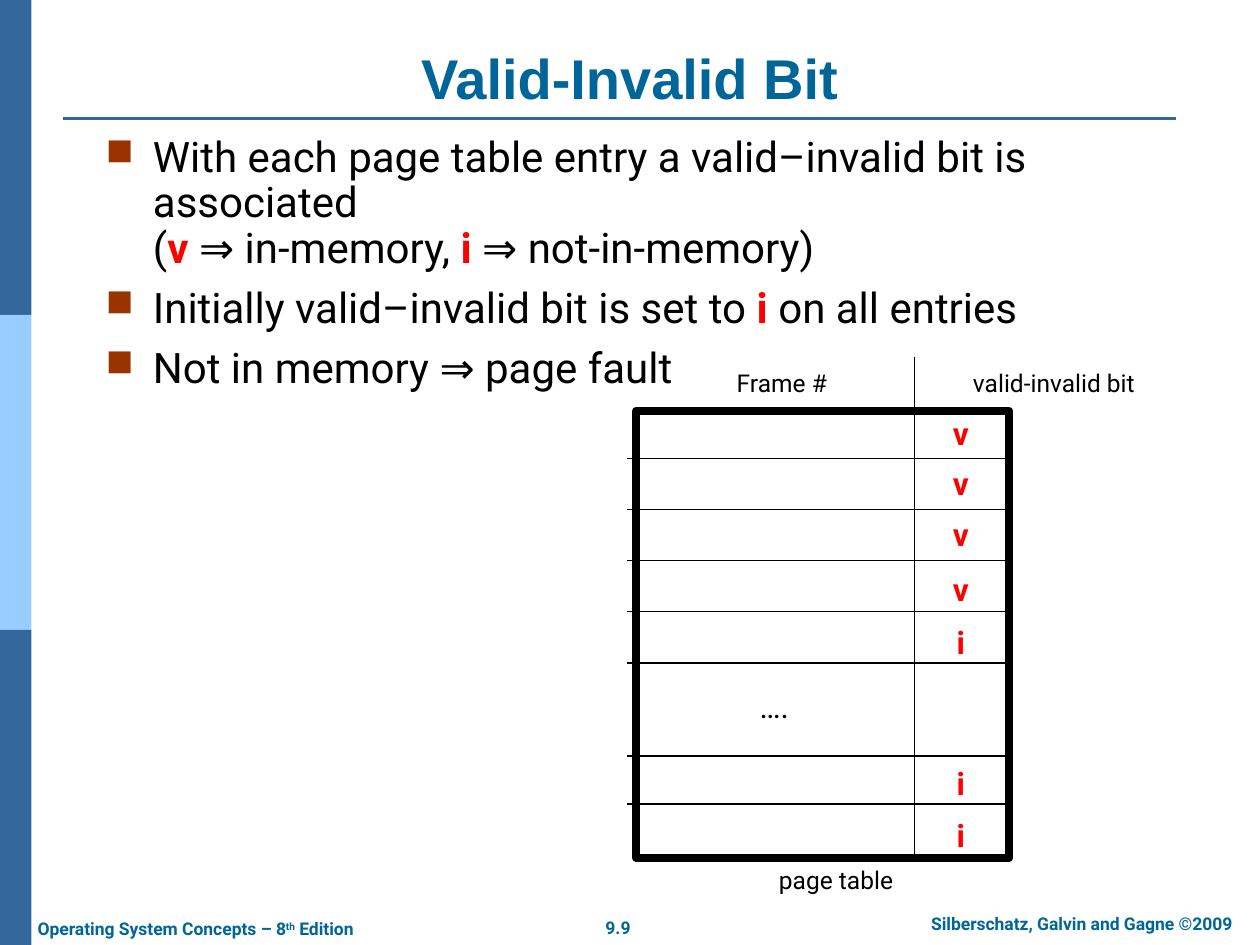
from lxml import etree
from pptx import Presentation
from pptx import util as u
from pptx.dml.color import RGBColor
from pptx.enum import shapes, text
from pptx.oxml import ns

NAVY = RGBColor(0x33, 0x66, 0x99)
SKY = RGBColor(0x99, 0xCC, 0xFF)
TEAL = RGBColor(0x00, 0x66, 0x99)
RUST = RGBColor(0x99, 0x33, 0x00)
RED = RGBColor(0xFF, 0x00, 0x00)
BLACK = RGBColor(0x00, 0x00, 0x00)
WHITE = RGBColor(0xFF, 0xFF, 0xFF)

LEFT, CENTER = text.PP_ALIGN.LEFT, text.PP_ALIGN.CENTER
TOP, MIDDLE, BOTTOM = (text.MSO_ANCHOR.TOP, text.MSO_ANCHOR.MIDDLE,
                       text.MSO_ANCHOR.BOTTOM)

BIT_MARKS = [("v", 247.3), ("v", 276.1), ("v", 304.9), ("v", 336.6),
             ("i", 366.8), ("i", 447.5), ("i", 477)]
ROW_RULES = [262 + 29.2 * row for row in range(5)] + [432, 459.4]

BULLETS = [
    [("With each page table entry a valid–invalid bit is associated", BLACK),
     None,
     ("(", BLACK), ("v ", RED), ("⇒ in-memory, ", BLACK), ("i", RED),
     (" ⇒ not-in-memory)", BLACK)],
    [("Initially valid–invalid bit is set to", BLACK), (" i ", RED),
     ("on all entries", BLACK)],
    [("Not in memory ⇒ page fault", BLACK)],
]


def style_run(run, size, color, bold=False, font="Roboto"):
    run.font.size = u.Pt(size)
    run.font.name = font
    run.font.bold = bold
    run.font.color.rgb = color


def add_block(parent, left, top, width, height, fill, border=None):
    block = parent.shapes.add_shape(
        shapes.MSO_SHAPE.RECTANGLE,
        u.Pt(left), u.Pt(top), u.Pt(width), u.Pt(height))
    block.shadow.inherit = False
    block.fill.solid()
    block.fill.fore_color.rgb = fill
    if border:
        block.line.color.rgb = BLACK
        block.line.width = u.Pt(border)
    else:
        block.line.fill.background()


def add_rule(parent, x1, y1, x2, y2, color=BLACK, weight=0.75):
    rule = parent.shapes.add_connector(
        shapes.MSO_CONNECTOR.STRAIGHT, u.Pt(x1), u.Pt(y1), u.Pt(x2), u.Pt(y2))
    rule.line.color.rgb = color
    rule.line.width = u.Pt(weight)
    etree.SubElement(rule._element.spPr, ns.qn("a:effectLst"))


def add_frame(parent, left, top, width, height, anchor):
    frame = parent.shapes.add_textbox(
        u.Pt(left), u.Pt(top), u.Pt(width), u.Pt(height)).text_frame
    frame.word_wrap = True
    frame.vertical_anchor = anchor
    return frame


def add_label(parent, wording, left, top, width, height, size, color,
              bold=False, align=CENTER, anchor=MIDDLE, font="Roboto"):
    frame = add_frame(parent, left, top, width, height, anchor)
    frame.text = wording
    line = frame.paragraphs[0]
    line.alignment = align
    style_run(line.runs[0], size, color, bold, font)
    return line


def add_bullet_mark(point):
    props = point._p.get_or_add_pPr()
    props.set("marL", str(u.Pt(27)))
    props.set("indent", str(-u.Pt(27)))
    tint = etree.SubElement(props, ns.qn("a:buClr"))
    etree.SubElement(tint, ns.qn("a:srgbClr"), val=str(RUST))
    etree.SubElement(props, ns.qn("a:buSzPct"), val="90000")
    etree.SubElement(props, ns.qn("a:buChar"), char="■")


def add_bullets(slide):
    frame = add_frame(slide, 53.3, 74.2, 612.7, 430.6, TOP)
    for number, pieces in enumerate(BULLETS):
        point = frame.add_paragraph() if number else frame.paragraphs[0]
        point.line_spacing = 0.9
        if number:
            point.space_before = u.Pt(8.5)
        add_bullet_mark(point)
        for piece in pieces:
            if piece is None:
                point.add_line_break()
                continue
            run = point.add_run()
            run.text, color = piece
            style_run(run, 24, color, bold=color == RED)


def add_page_table(slide):
    table = slide.shapes.add_group_shape()
    add_block(table, 363.6, 234.7, 213.1, 255.6, WHITE, border=4.5)
    for y in ROW_RULES:
        add_rule(table, 358.5, y, 574.5, y)
    add_rule(table, 522.7, 203.8, 522.7, 488.2)
    for mark, middle in BIT_MARKS:
        add_label(table, mark, 531.4, middle - 17.6, 35.2, 35.2, 18, RED, True)
    add_label(table, "….", 415.4, 385.9, 54, 35.2, 18, BLACK)
    for caption, left, top, width in [("Frame #", 398.9, 203.8, 95.8),
                                      ("valid-invalid bit", 525.6, 203.8, 153.4),
                                      ("page table", 420.5, 488.2, 114.5)]:
        add_label(table, caption, left, top, width, 29.5, 14, BLACK)


def add_footer(slide):
    add_label(slide, "9.9", 335.5, 520.6, 35.3, 19.4, 10, TEAL, True, anchor=TOP)
    add_label(slide, "Silberschatz, Galvin and Gagne ©2009",
              511.2, 518.4, 213.8, 19.4, 10, TEAL, True, anchor=TOP)
    book = add_label(slide, "Operating System Concepts – 8",
                     14.4, 521.3, 207.4, 19.4, 10, TEAL, True, LEFT, TOP)
    for wording, raised in [("th", True), (" Edition", False)]:
        run = book.add_run()
        run.text = wording
        style_run(run, 10, TEAL, True)
        if raised:
            run.font._element.set("baseline", "30000")


def main():
    deck = Presentation()
    deck.slide_width, deck.slide_height = u.Pt(720), u.Pt(540)
    slide = deck.slides.add_slide(deck.slide_layouts[6])
    for band, color in enumerate([NAVY, SKY, NAVY]):
        add_block(slide, 0, 180 * band, 18, 180, color)
    add_rule(slide, 36, 67.7, 672, 67.7, NAVY, 1.5)
    add_footer(slide)
    add_label(slide, "Valid-Invalid Bit", 36, 21.6, 648, 45.4, 32, TEAL, True,
              anchor=BOTTOM, font="Arial")
    add_bullets(slide)
    add_page_table(slide)
    deck.save("out.pptx")


if __name__ == "__main__":
    main()
